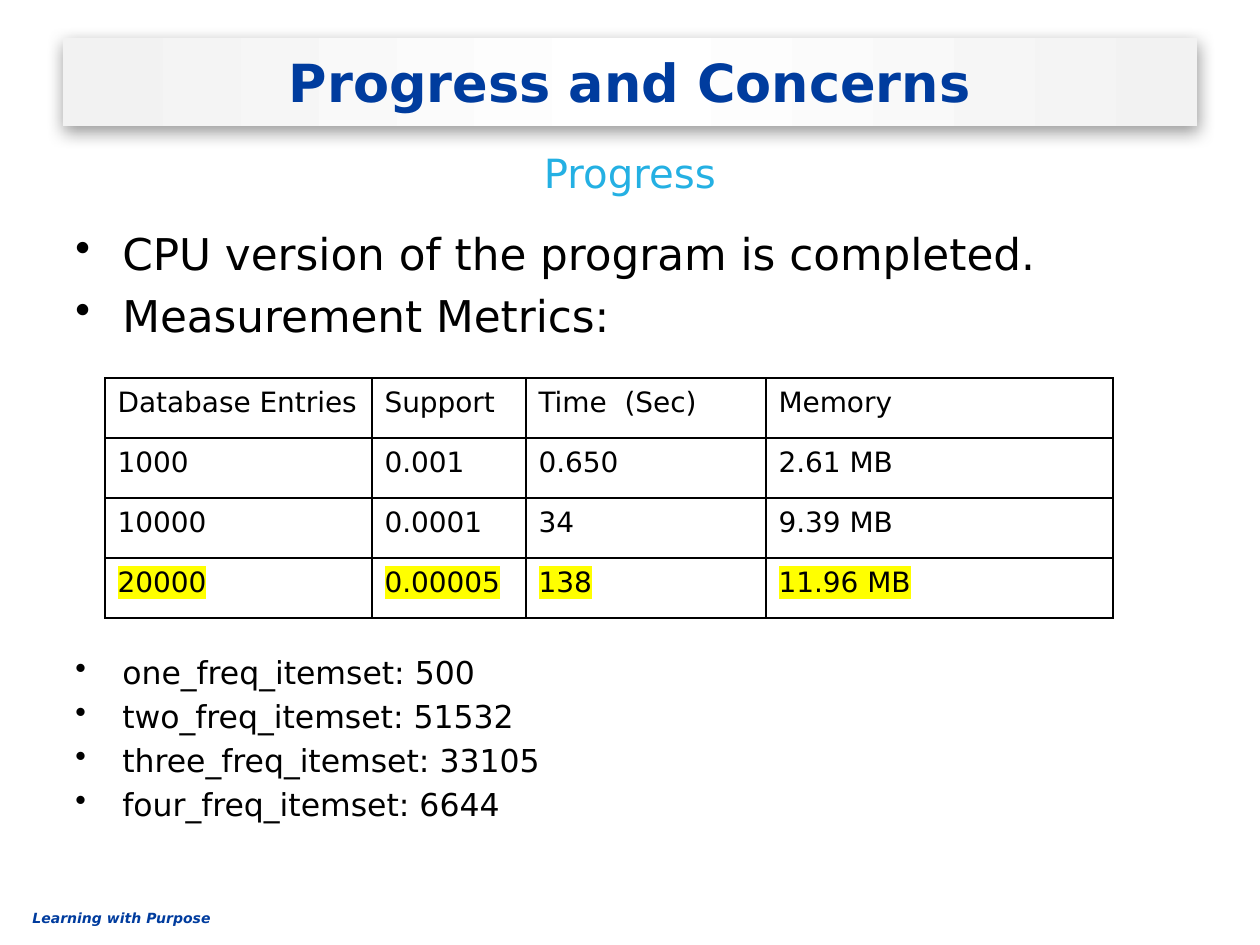
from dataclasses import dataclass

from lxml.etree import SubElement
from pptx import Presentation
from pptx.dml.color import RGBColor
from pptx.enum.text import MSO_ANCHOR, MSO_AUTO_SIZE, PP_ALIGN
from pptx.oxml import parse_xml
from pptx.oxml.ns import nsdecls, qn
from pptx.util import Pt

EMU_PER_PX = 914400 / 126


@dataclass(frozen=True)
class Theme:
    font: str = "DejaVu Sans"
    navy: str = "003C9E"
    sky: str = "24B0E3"
    black: str = "000000"
    highlight: str = "FFFF00"
    band_edge: str = "F2F2F2"
    band_middle: str = "FFFFFF"
    title_size: int = 30
    subtitle_size: int = 23
    bullet_size: int = 25
    detail_size: int = 18
    table_size: int = 16
    footer_size: int = 8


THEME = Theme()
BULLET_INDENT = 47
METRICS = [
    ["Database Entries", "Support", "Time  (Sec)", "Memory"],
    ["1000", "0.001", "0.650", "2.61 MB"],
    ["10000", "0.0001", "34", "9.39 MB"],
    ["20000", "0.00005", "138", "11.96 MB"],
]
COLUMN_WIDTHS = [267, 154, 240, 347]
ROW_HEIGHT = 60


def px(length):
    return round(length * EMU_PER_PX)


def style(paragraph, size, color=THEME.black, bold=False, italic=False):
    font = paragraph.font
    font.name, font.size = THEME.font, Pt(size)
    font.bold, font.italic = bold, italic
    font.color.rgb = RGBColor.from_string(color)


def place(shape, left, top, width, height):
    shape.left, shape.top = px(left), px(top)
    shape.width, shape.height = px(width), px(height)


def add_text(slide, box, lines, size, color=THEME.black, **font_options):
    """Add a wrapping text box with one paragraph for each line."""
    frame = slide.shapes.add_textbox(*map(px, box)).text_frame
    frame.word_wrap = True
    frame.text = "\n".join(lines)
    for paragraph in frame.paragraphs:
        style(paragraph, size, color, **font_options)
    return frame


def add_bullets(slide, box, lines, size):
    frame = add_text(slide, box, lines, size)
    for paragraph in frame.paragraphs:
        paragraph.space_before = Pt(size * 0.2)
        properties = paragraph._p.get_or_add_pPr()
        properties.set("marL", str(px(BULLET_INDENT)))
        properties.set("indent", str(-px(BULLET_INDENT)))
        bullet = parse_xml(f'<a:buChar {nsdecls("a")} char="•"/>')
        properties.find(qn("a:defRPr")).addprevious(bullet)


def format_title(title):
    place(title, 63, 38, 1134, 88)
    frame = title.text_frame
    frame.text = "Progress and Concerns"
    frame.auto_size = MSO_AUTO_SIZE.NONE
    frame.vertical_anchor = MSO_ANCHOR.MIDDLE
    frame.paragraphs[0].alignment = PP_ALIGN.CENTER
    style(frame.paragraphs[0], THEME.title_size, THEME.navy, bold=True)

    title.fill.gradient()
    title.fill.gradient_angle = 0
    properties = title._element.spPr
    stops = properties.find(".//" + qn("a:gsLst"))
    for stop in list(stops):
        stops.remove(stop)
    for percent, color in [(2, THEME.band_edge), (50, THEME.band_middle),
                           (100, THEME.band_edge)]:
        stop = SubElement(stops, qn("a:gs"), pos=str(percent * 1000))
        SubElement(stop, qn("a:srgbClr"), val=color)
    properties.append(parse_xml(
        f'<a:effectLst {nsdecls("a")}>'
        f'<a:outerShdw blurRad="{Pt(10)}" dist="{Pt(3)}" dir="5400000" rotWithShape="0">'
        f'<a:srgbClr val="{THEME.black}"><a:alpha val="40000"/></a:srgbClr>'
        '</a:outerShdw></a:effectLst>'))


def add_borders(cell):
    properties = cell._tc.get_or_add_tcPr()
    for index, side in enumerate("LRTB"):
        properties.insert(index, parse_xml(
            f'<a:ln{side} {nsdecls("a")} w="{Pt(1)}"><a:solidFill>'
            f'<a:srgbClr val="{THEME.black}"/></a:solidFill></a:ln{side}>'))


def highlight(run):
    run._r.get_or_add_rPr().append(parse_xml(
        f'<a:highlight {nsdecls("a")}><a:srgbClr val="{THEME.highlight}"/></a:highlight>'))


def add_metrics_table(slide):
    table = slide.shapes.add_table(
        len(METRICS), len(COLUMN_WIDTHS), px(105), px(378),
        px(sum(COLUMN_WIDTHS)), px(ROW_HEIGHT * len(METRICS))).table
    table.first_row = table.horz_banding = False
    for column, width in zip(table.columns, COLUMN_WIDTHS):
        column.width = px(width)
    for row_index, values in enumerate(METRICS):
        table.rows[row_index].height = px(ROW_HEIGHT)
        for column_index, value in enumerate(values):
            cell = table.cell(row_index, column_index)
            cell.text = value
            cell.fill.background()
            add_borders(cell)
            paragraph = cell.text_frame.paragraphs[0]
            paragraph.line_spacing = 1.07
            paragraph.space_after = Pt(8)
            style(paragraph, THEME.table_size)
            if values is METRICS[-1]:
                highlight(paragraph.runs[0])


def main():
    presentation = Presentation()
    presentation.slide_width, presentation.slide_height = px(1260), px(945)
    slide = presentation.slides.add_slide(presentation.slide_layouts[5])

    add_text(slide, (20, 903, 465, 30), ["Learning with Purpose"],
             THEME.footer_size, THEME.navy, bold=True, italic=True)
    format_title(slide.shapes.title)
    subtitle = add_text(slide, (63, 136, 1134, 73), ["Progress"],
                        THEME.subtitle_size, THEME.sky)
    subtitle.vertical_anchor = MSO_ANCHOR.MIDDLE
    subtitle.paragraphs[0].alignment = PP_ALIGN.CENTER
    add_bullets(slide, (63, 221, 1134, 130),
                ["CPU version of the program is completed.", "Measurement Metrics:"],
                THEME.bullet_size)
    add_metrics_table(slide)
    add_bullets(slide, (63, 647, 1134, 190),
                ["one_freq_itemset: 500", "two_freq_itemset: 51532",
                 "three_freq_itemset: 33105", "four_freq_itemset: 6644"],
                THEME.detail_size)
    presentation.save("out.pptx")


if __name__ == "__main__":
    main()
